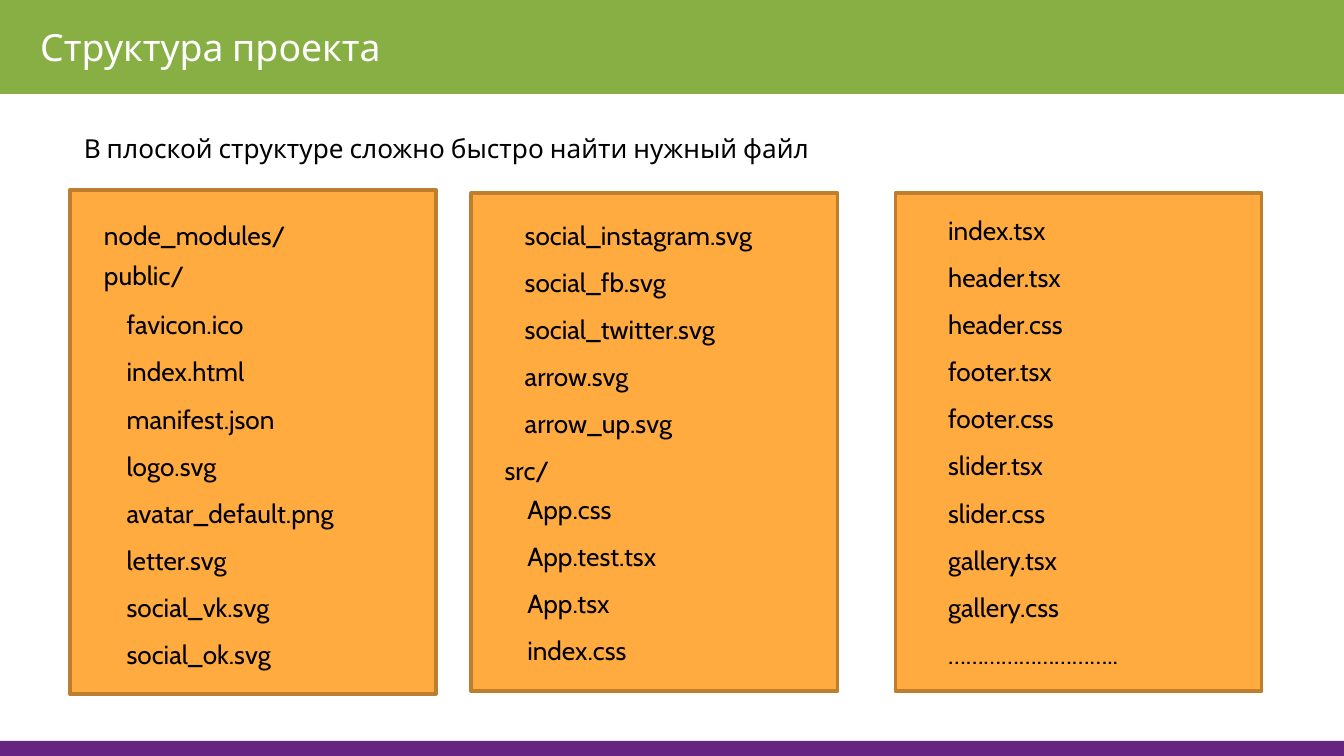
"""Build a slide that lists the files of a flat project structure in three panels."""
from pptx import Presentation, util as u
from pptx.dml.color import RGBColor
from pptx.enum import shapes, text

PX = 5715
THEME = {
    "font": "Cabin", "head": 20, "body": 14,
    "green": "88AF43", "purple": "662483", "orange": "FFAB40", "brown": "BD7F2F",
    "white": "FFFFFF", "black": "000000",
}


def put_text(lines, box, size="body", color="black", indent=24, gap=1.5):
    frame = slide.shapes.add_textbox(*[n * PX for n in box]).text_frame
    frame.word_wrap = True
    frame.vertical_anchor = text.MSO_ANCHOR.TOP
    frame.margin_left = frame.margin_right = 16 * PX
    frame.margin_top = frame.margin_bottom = 16 * PX
    for i, line in enumerate(lines):
        para = frame.add_paragraph() if i else frame.paragraphs[0]
        props = para._p.get_or_add_pPr()
        props.set("marL", str(indent * PX))
        props.set("indent", "0")
        para.line_spacing = gap
        run = para.add_run()
        run.text = line
        run.font.name = THEME["font"]
        run.font.size = u.Pt(THEME[size])
        run.font.color.rgb = RGBColor.from_string(THEME[color])


def put_rect(box, fill, line=None, width=1):
    rect = slide.shapes.add_shape(shapes.MSO_SHAPE.RECTANGLE, *[n * PX for n in box])
    rect.shadow.inherit = False
    rect.fill.solid()
    rect.fill.fore_color.rgb = RGBColor.from_string(THEME[fill])
    if line:
        rect.line.color.rgb = RGBColor.from_string(THEME[line])
        rect.line.width = u.Pt(width)
    else:
        rect.line.fill.background()


deck = Presentation()
deck.slide_width, deck.slide_height = 1600 * PX, 900 * PX
slide = deck.slides.add_slide(deck.slide_layouts[6])

put_rect((0, 0, 1600, 111), "green", "green", 0.75)
put_text(["Структура проекта"], (32, 13, 1013, 86), "head", "white", indent=0, gap=1)
put_text(["В плоской структуре сложно быстро найти нужный файл"], (60, 123, 1400, 80))
put_rect((0, 882, 1600, 18), "purple")

for panel in [(83, 226, 436, 600), (561, 230, 436, 593), (1066, 230, 436, 593)]:
    put_rect(panel, "orange", "brown", 2)

lists = [
    ((84, 226, 294, 80), ["node_modules/"]),
    ((84, 274, 294, 80), ["public/"]),
    ((111, 333, 394, 490), [
        "favicon.ico", "index.html", "manifest.json", "logo.svg",
        "avatar_default.png", "letter.svg", "social_vk.svg", "social_ok.svg"]),
    ((585, 226, 402, 309), [
        "social_instagram.svg", "social_fb.svg", "social_twitter.svg",
        "arrow.svg", "arrow_up.svg"]),
    ((561, 506, 294, 80), ["src/"]),
    ((588, 553, 333, 259), ["App.css", "App.test.tsx", "App.tsx", "index.css"]),
    ((1089, 221, 333, 590), [
        "index.tsx", "header.tsx", "header.css", "footer.tsx", "footer.css",
        "slider.tsx", "slider.css", "gallery.tsx", "gallery.css",
        "……………………….."]),
]
for box, names in lists:
    put_text(names, box)

deck.save("out.pptx")
